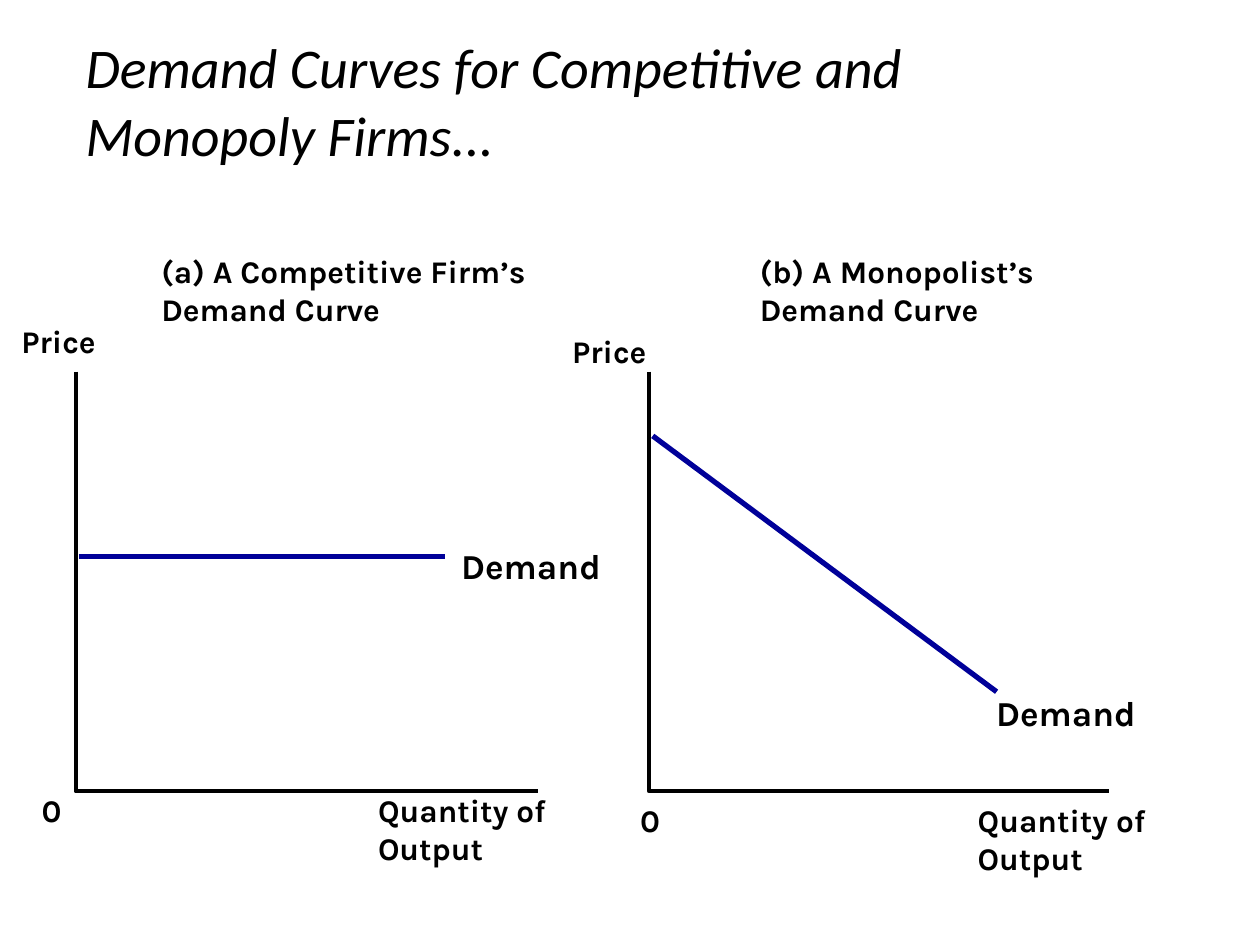
from lxml import etree
from pptx import Presentation
from pptx.dml.color import RGBColor
from pptx.enum.shapes import MSO_CONNECTOR
from pptx.enum.text import MSO_ANCHOR
from pptx.oxml.ns import qn
from pptx.util import Pt

STRAIGHT = MSO_CONNECTOR.STRAIGHT
TOP, MIDDLE = MSO_ANCHOR.TOP, MSO_ANCHOR.MIDDLE
BLACK, NAVY = "000000", "000099"
AXIS_TOP, AXIS_BOTTOM = 212.4, 452.2


def color(value):
    return RGBColor.from_string(value)


class DemandSlide:
    """Draws the labels, axes and demand lines of one slide."""

    font = "Karla"

    def __init__(self, prs):
        self.s = prs.slides.add_slide(prs.slide_layouts[6])

    def text(self, x, y, w, h, lines, size=18, wrap=False):
        box = self.s.shapes.add_textbox(Pt(x), Pt(y), Pt(w), Pt(h))
        tf = box.text_frame
        tf.word_wrap = wrap
        tf.vertical_anchor = TOP
        tf.margin_left = tf.margin_right = tf.margin_top = tf.margin_bottom = 0
        tf.text = lines
        for p in tf.paragraphs:
            p.font.name = self.font
            p.font.size = Pt(size)
            p.font.bold = True
            p.font.color.rgb = color(BLACK)
        return tf

    def title(self, x, y, w, h, words):
        tf = self.text(x, y, w, h, words, 32, wrap=True)
        tf.vertical_anchor = MIDDLE
        tf.margin_left = tf.margin_right = Pt(7.2)
        tf.margin_top = tf.margin_bottom = Pt(3.6)
        p = tf.paragraphs[0]
        p.font.name = "Calibri"
        p.font.bold = False
        p.font.italic = True

    def axes(self, left, right):
        fb = self.s.shapes.build_freeform(Pt(left), Pt(AXIS_TOP))
        fb.add_line_segments(
            [(Pt(left), Pt(AXIS_BOTTOM)), (Pt(right), Pt(AXIS_BOTTOM))], close=False)
        sp = fb.convert_to_shape()
        sp.shadow.inherit = False
        sp.fill.background()
        sp.line.color.rgb = color(BLACK)
        sp.line.width = Pt(2.24)

    def line(self, x1, y1, x2, y2):
        c = self.s.shapes.add_connector(STRAIGHT, Pt(x1), Pt(y1), Pt(x2), Pt(y2))
        c.line.color.rgb = color(NAVY)
        c.line.width = Pt(3)
        etree.SubElement(c._element.spPr, qn("a:effectLst"))


prs = Presentation()
prs.slide_width, prs.slide_height = Pt(720), Pt(540)
slide = DemandSlide(prs)

panels = [
    dict(heading="(a) A Competitive Firm’s \nDemand Curve", heading_x=92.2, heading_w=218,
         axis=(43.2, 307.4), price=(12.2, 184.3), zero_x=23.8, quantity_x=216,
         below_y=452.2, curve=(45.4, 318.2, 254.2, 318.2), demand=(263.5, 311)),
    dict(heading="(b) A Monopolist’s \nDemand Curve", heading_x=434.2, heading_w=164,
         axis=(370.8, 633.6), price=(326.9, 189.7), zero_x=365.8, quantity_x=558.7,
         below_y=457.9, curve=(373, 249.1, 569.5, 395.3), demand=(569.2, 395.3)),
]
for panel in panels:
    slide.text(panel["heading_x"], 144, panel["heading_w"], 43.2, panel["heading"])
    slide.text(*panel["price"], 44.6, 21.6, "Price")
    slide.text(panel["zero_x"], panel["below_y"], 10, 21.6, "0")
    slide.text(panel["quantity_x"], panel["below_y"], 140, 43.2,
               "Quantity of Output", wrap=True)
    slide.line(*panel["curve"])
    slide.axes(*panel["axis"])
    slide.text(*panel["demand"], 84.2, 23.8, "Demand", 20)

slide.title(41.8, 12.2, 612, 90, "Demand Curves for Competitive and Monopoly Firms...")
prs.save("out.pptx")
